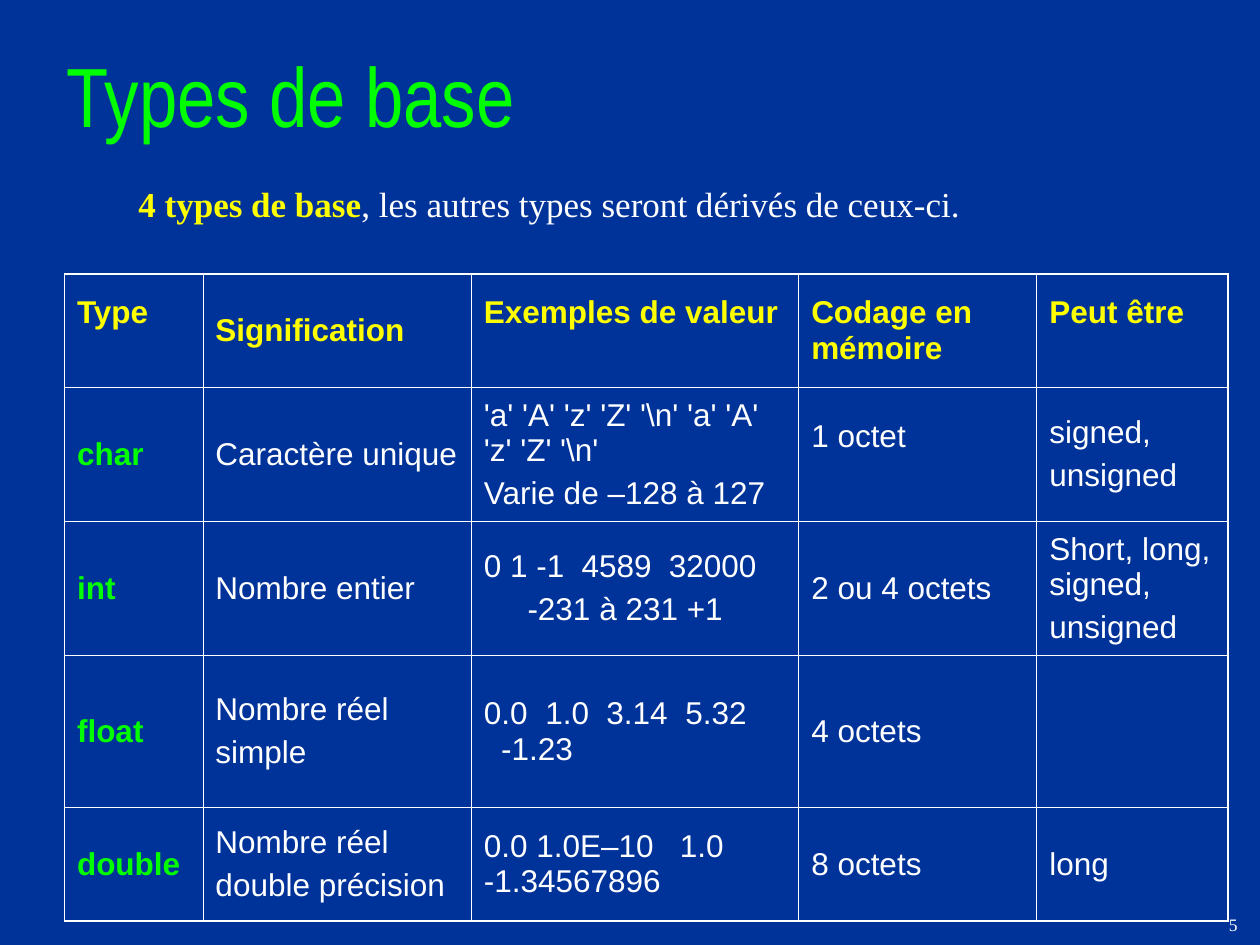
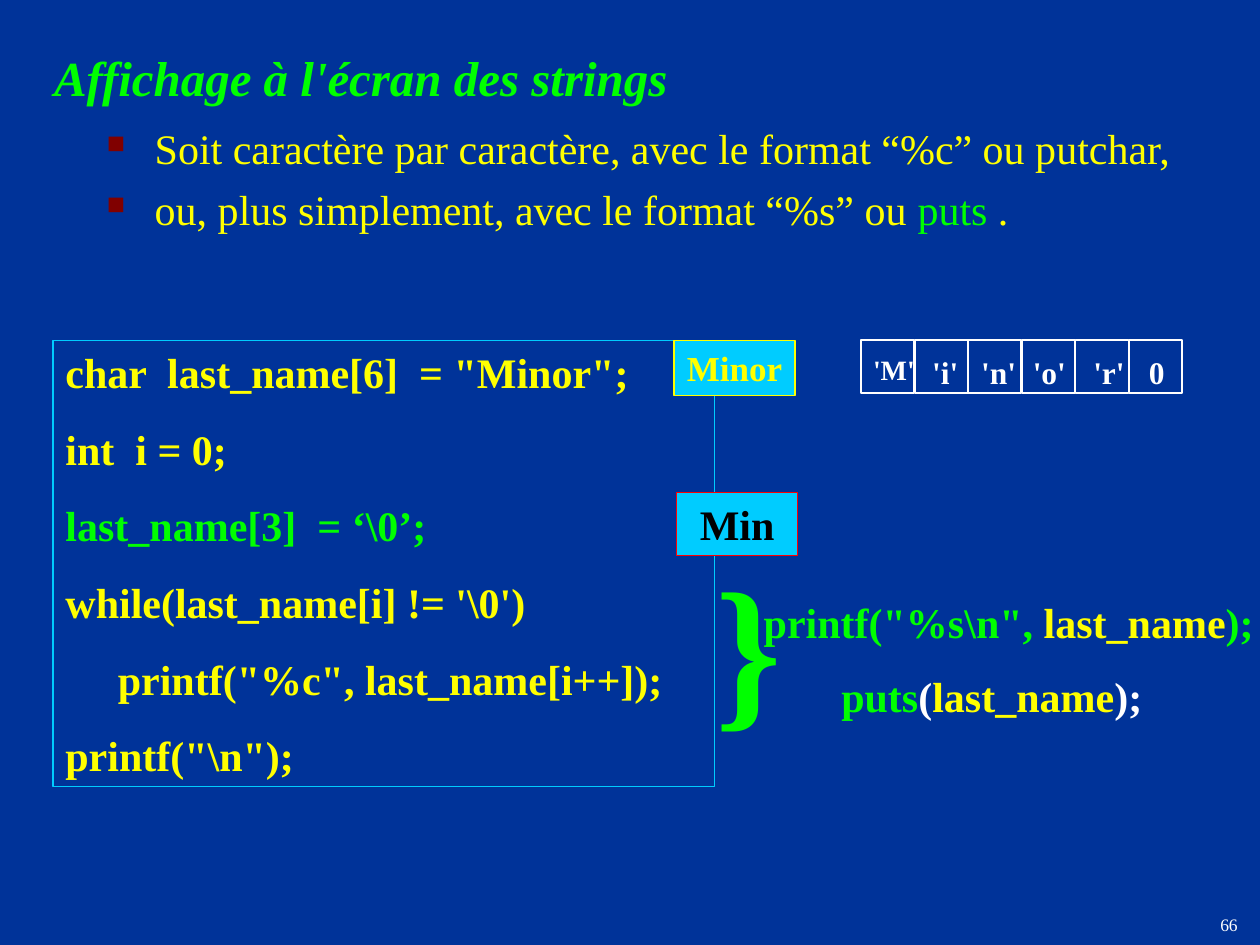
from collections import namedtuple

from lxml.etree import SubElement
from pptx import Presentation
from pptx.dml.color import RGBColor
from pptx.enum.shapes import MSO_SHAPE as SHAPE
from pptx.enum.text import MSO_ANCHOR as ANCHOR, PP_ALIGN as ALIGN
from pptx.oxml.ns import qn
from pptx.util import Cm, Pt

# Shared look
COLORS = {
    "navy": "003399", "green": "00FF00", "yellow": "FFFF00", "white": "FFFFFF",
    "cyan": "00CCFF", "red": "FF0000", "maroon": "800000", "black": "000000",
}
SERIF, SANS, NARROW = "Times New Roman", "Arial", "Arial Narrow"
NUMBER_BOX = (22.02, 18.21, 3.18, 0.84)
CODE = {"name": SERIF, "size": 24, "bold": True, "color": "yellow"}

# A line of text: indent and tab stops in cm, space before in points
Line = namedtuple("Line", "runs indent tabs before", defaults=(0, (), None))

# Slide 1 content
INTRO = [("4 types de base", {"color": "yellow", "bold": True}),
         (", les autres types seront dérivés de ceux-ci.", {})]
COL_WIDTHS = [2.79, 5.41, 6.6, 4.8, 3.86]
ROW_HEIGHTS = [2.29, 2.69, 2.69, 3.07, 2.29]
TYPES = [
    [["Type"], ["Signification"], ["Exemples de valeur"],
     ["Codage en mémoire"], ["Peut être"]],
    [["char"], ["Caractère unique"],
     [r"'a' 'A' 'z' 'Z' '\n' 'a' 'A' 'z' 'Z' '\n'", "Varie de –128 à 127"],
     ["1 octet"], ["signed,", "unsigned"]],
    [["int"], ["Nombre entier"],
     [Line("0 1 -1\t4589\t32000", tabs=(1.97, 3.73)),
      Line("-231 à 231 +1", indent=0.88)],
     ["2 ou 4 octets"], ["Short, long, signed,", "unsigned"]],
    [["float"], ["Nombre réel", "simple"],
     [Line("0.0\t1.0\t3.14\t5.32", tabs=(1.24, 2.47, 4.06)),
      Line("-1.23", indent=0.35, before=0)],
     ["4 octets"], []],
    [["double"], ["Nombre réel", "double précision"],
     [Line("0.0 1.0E–10\t1.0", tabs=(3.95,)), Line("-1.34567896", before=0)],
     ["8 octets"], ["long"]],
]
RAISED_CELLS = {(0, 0), (0, 2), (0, 4), (1, 3)}

# Slide 2 content
WAYS = [
    "Soit caractère par caractère, avec le format “%c” ou putchar,",
    [("ou, plus simplement, avec le format “%s” ou ", {}),
     ("puts", {"color": "green"}), (" .", {})],
]
LISTING = [
    'char  last_name[6]  = "Minor";',
    "int  i = 0;",
    [(r"last_name[3]  = ‘\0’;", {"color": "green"})],
    r"while(last_name[i] != '\0')",
    '     printf("%c", last_name[i++]);',
    r'printf("\n");',
]
# Screen output: text, box, size, text colour, border colour
OUTPUTS = [
    ("Minor", (13.59, 6.86, 2.44, 1.12), 20, "yellow", "yellow"),
    ("Min", (13.64, 9.93, 2.44, 1.27), 24, "black", "red"),
]
# Array letters: text, left, width, size
LETTERS = [
    ("'M'", 17.35, 1.35, 16), ("'i'", 18.54, 1.04, 18), ("'n'", 19.53, 1.22, 18),
    ("'o'", 20.57, 1.17, 18), ("'r'", 21.79, 1.14, 18), ("0", 22.91, 0.81, 18),
]
ARRAY_LEFT, ARRAY_TOP, ARRAY_STEP, ARRAY_CELL = 17.36, 6.86, 1.08, 1.07
PRINTF = [(r'printf("%s\n", ', {"color": "green"}), ("last_name", {}),
          (");", {"color": "green"})]
PUTS = [("puts", {"color": "green"}), ("(", {"color": "white"}),
        ("last_name", {}), (");", {"color": "white"})]


def rgb(name):
    return RGBColor.from_string(COLORS[name])


def set_font(font, fmt):
    for key, value in fmt.items():
        if key == "color":
            font.color.rgb = rgb(value)
        else:
            setattr(font, key, Pt(value) if key == "size" else value)


def add_bullet(pPr):
    pPr.set("marL", str(Cm(0.97)))
    pPr.set("indent", str(-Cm(0.97)))
    color = SubElement(pPr, qn("a:buClr"))
    SubElement(color, qn("a:srgbClr"), val=COLORS["maroon"])
    SubElement(pPr, qn("a:buSzPct"), val="60000")
    SubElement(pPr, qn("a:buChar"), char="■")


def write(tf, lines, fmt, before=0, bullet=False, **para):
    for i, line in enumerate(lines):
        if not isinstance(line, Line):
            line = Line(line)
        p = tf.paragraphs[0] if i == 0 else tf.add_paragraph()
        pPr = p._p.get_or_add_pPr()
        if bullet:
            add_bullet(pPr)
        if line.indent:
            pPr.set("marL", str(Cm(line.indent)))
        if line.tabs:
            stops = SubElement(pPr, qn("a:tabLst"))
            for pos in line.tabs:
                SubElement(stops, qn("a:tab"), pos=str(Cm(pos)), algn="l")
        if i:
            p.space_before = Pt(before if line.before is None else line.before)
        for key, value in para.items():
            setattr(p, key, value)
        runs = [(line.runs, {})] if isinstance(line.runs, str) else line.runs
        for text, extra in runs:
            r = p.add_run()
            r.text = text
            set_font(r.font, {**fmt, **extra})


def add_text(s, box, lines, fmt, wrap=True, anchor=ANCHOR.TOP, margin=0.25, **para):
    tf = s.shapes.add_textbox(*map(Cm, box)).text_frame
    tf.word_wrap, tf.vertical_anchor = wrap, anchor
    tf.margin_left = tf.margin_right = Cm(margin)
    write(tf, lines, fmt, **para)


def add_box(s, box, line, width, fill=None):
    sp = s.shapes.add_shape(SHAPE.RECTANGLE, *map(Cm, box))
    sp.shadow.inherit = False
    if fill:
        sp.fill.solid()
        sp.fill.fore_color.rgb = rgb(fill)
    else:
        sp.fill.background()
    sp.line.color.rgb = rgb(line)
    sp.line.width = Pt(width)
    sp.text_frame.vertical_anchor = ANCHOR.TOP
    return sp


def add_slide(prs, title, box, fmt, number):
    s = prs.slides.add_slide(prs.slide_layouts[6])
    s.background.fill.solid()
    s.background.fill.fore_color.rgb = rgb("navy")
    add_text(s, box, [title], {"color": "green", **fmt},
             anchor=ANCHOR.MIDDLE, line_spacing=0.7)
    add_text(s, NUMBER_BOX, [str(number)],
             {"name": SERIF, "size": 10, "color": "white"},
             anchor=ANCHOR.MIDDLE, alignment=ALIGN.RIGHT)
    return s


def set_borders(cell, row, col):
    outer = {"L": col == 0, "R": col == len(COL_WIDTHS) - 1,
             "T": row == 0, "B": row == len(ROW_HEIGHTS) - 1}
    tcPr = cell._tc.get_or_add_tcPr()
    for side, is_outer in outer.items():
        ln = SubElement(tcPr, qn(f"a:ln{side}"), w=str(Pt(1.08 if is_outer else 0.45)))
        fill = SubElement(ln, qn("a:solidFill"))
        SubElement(fill, qn("a:srgbClr"), val=COLORS["white"])


def add_types_table(s):
    frame = s.shapes.add_table(len(TYPES), len(COL_WIDTHS), Cm(1.3), Cm(5.52),
                               Cm(sum(COL_WIDTHS)), Cm(sum(ROW_HEIGHTS)))
    table = frame.table
    table.first_row = table.horz_banding = False
    for col, width in zip(table.columns, COL_WIDTHS):
        col.width = Cm(width)
    for row, height in zip(table.rows, ROW_HEIGHTS):
        row.height = Cm(height)
    for i, row in enumerate(TYPES):
        for j, lines in enumerate(row):
            cell = table.cell(i, j)
            set_borders(cell, i, j)
            cell.fill.background()
            cell.vertical_anchor = ANCHOR.MIDDLE
            if (i, j) in RAISED_CELLS:
                cell.margin_bottom = Cm(0.84)
            color = "yellow" if i == 0 else "green" if j == 0 else "white"
            write(cell.text_frame, lines,
                  {"name": SANS, "size": 18, "color": color, "bold": color != "white"},
                  before=4.5)


def build_types(prs):
    s = add_slide(prs, "Types de base", (1.09, 1.12, 23.67, 2.03),
                  {"name": NARROW, "size": 48}, 5)
    add_types_table(s)
    add_text(s, (2.54, 3.56, 21.59, 1.12), [INTRO],
             {"name": SERIF, "size": 20, "color": "white"})


def build_strings(prs):
    s = add_slide(prs, "Affichage à l'écran des strings", (0.84, 0.64, 16.31, 2.11),
                  {"name": SERIF, "size": 28, "bold": True, "italic": True}, 66)
    add_text(s, (1.9, 2.34, 22.66, 3.38), WAYS, {**CODE, "bold": False},
             before=6, bullet=True)

    # Program listing and its equivalents
    listing = add_box(s, (1.07, 6.86, 13.34, 8.99), "cyan", 0.75)
    write(listing.text_frame, LISTING, CODE, before=15, alignment=ALIGN.LEFT)
    add_text(s, (15.27, 11.91, 10.13, 1.27), [PRINTF], CODE,
             wrap=False, margin=0, alignment=ALIGN.CENTER)
    add_text(s, (14.17, 10.8, 1.42, 4.32), ["}"],
             {**CODE, "size": 96, "color": "green"}, alignment=ALIGN.CENTER)
    add_text(s, (16.71, 13.39, 6.99, 1.27), [PUTS], CODE)

    # Screen output
    for text, box, size, color, border in OUTPUTS:
        tf = add_box(s, box, border, 0.75, "cyan").text_frame
        tf.word_wrap = False
        write(tf, [text], {**CODE, "size": size, "color": color},
              alignment=ALIGN.CENTER)

    # Character array
    for i, (text, left, width, size) in enumerate(LETTERS):
        add_box(s, (ARRAY_LEFT + i * ARRAY_STEP, ARRAY_TOP, ARRAY_CELL, ARRAY_CELL),
                "white", 1)
        add_text(s, (left, 6.99, width, 1.02), [text],
                 {**CODE, "size": size, "color": "white"}, wrap=False)


def main():
    prs = Presentation()
    prs.slide_width, prs.slide_height = Cm(25.4), Cm(19.05)
    build_types(prs)
    build_strings(prs)
    prs.save("out.pptx")


if __name__ == "__main__":
    main()
